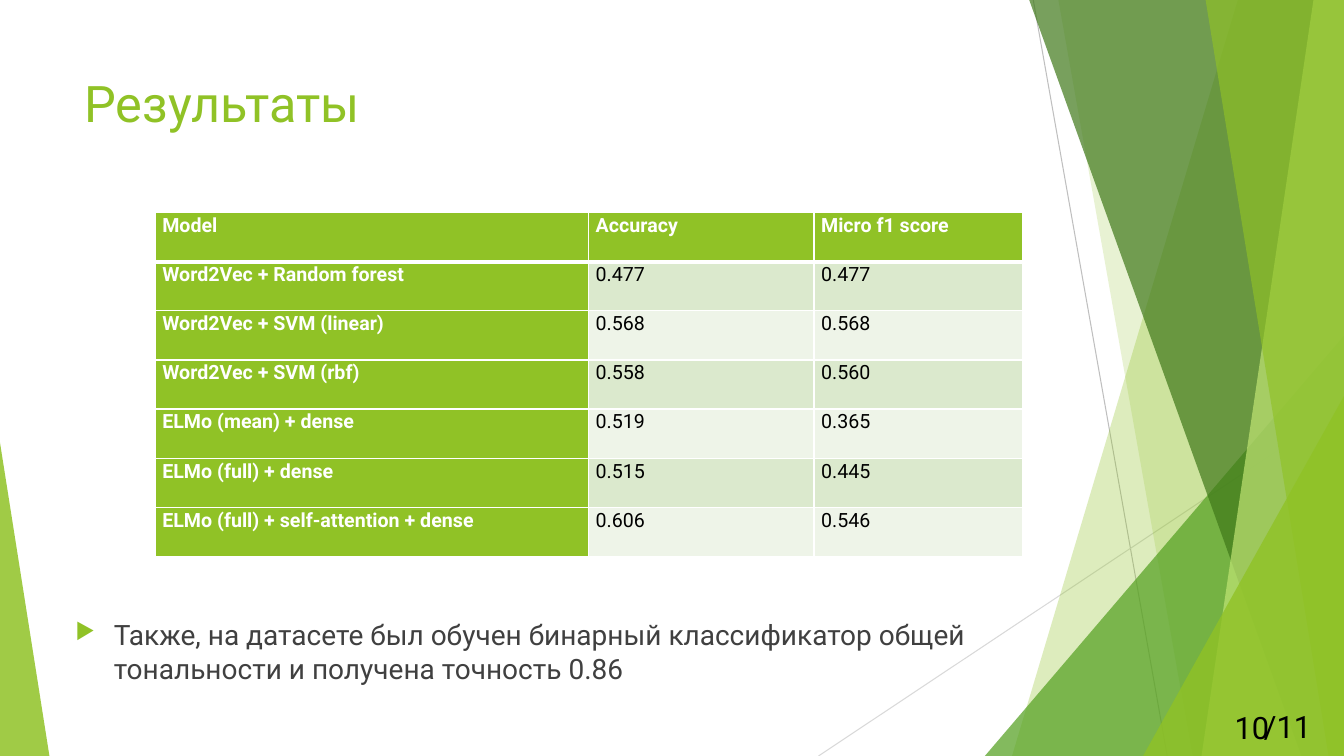
from dataclasses import dataclass

from lxml import etree
from pptx import Presentation
from pptx import util as u
from pptx.dml.color import RGBColor
from pptx.enum import shapes, text
from pptx.oxml import ns


@dataclass(frozen=True)
class Theme:
    font: str = "Roboto"
    green: str = "90C226"
    leaf: str = "54A021"
    forest: str = "3F7819"
    lime: str = "C0E474"
    white: str = "FFFFFF"
    black: str = "000000"
    body: str = "404040"
    band_dark: str = "DBE9CD"
    band_light: str = "EEF4E8"
    title_size: int = 36
    number_size: int = 22
    body_size: int = 20
    table_size: int = 14


THEME = Theme()
WIDTH, HEIGHT = u.Inches(13.33), u.Inches(7.5)

RESULTS = [
    ("Model", "Accuracy", "Micro f1 score"),
    ("Word2Vec + Random forest", "0.477", "0.477"),
    ("Word2Vec + SVM (linear)", "0.568", "0.568"),
    ("Word2Vec + SVM (rbf)", "0.558", "0.560"),
    ("ELMo (mean) + dense", "0.519", "0.365"),
    ("ELMo (full) + dense", "0.515", "0.445"),
    ("ELMo (full) + self-attention + dense", "0.606", "0.546"),
]


def x_at(percent):
    return round(WIDTH * percent / 100)


def y_at(percent):
    return round(HEIGHT * percent / 100)


def place(box):
    """Turn left, top, width, height in percent of the slide into lengths."""
    left, top, width, height = box
    return x_at(left), y_at(top), x_at(width), y_at(height)


def add_xml(parent, tag, **attributes):
    return etree.SubElement(parent, ns.qn(tag), attributes)


def style_font(paragraph, size, color, bold=False):
    font = paragraph.font
    font.name, font.size, font.bold = THEME.font, u.Pt(size), bold
    font.color.rgb = RGBColor.from_string(color)


def paint(shape, color, opacity):
    shape.shadow.inherit = False
    shape.line.fill.background()
    shape.fill.solid()
    shape.fill.fore_color.rgb = RGBColor.from_string(color)
    color_xml = shape.fill._xPr.find(".//" + ns.qn("a:srgbClr"))
    add_xml(color_xml, "a:alpha", val=str(opacity * 1000))


def add_hairline(slide, start, end, color):
    line = slide.shapes.add_connector(
        shapes.MSO_CONNECTOR.STRAIGHT,
        x_at(start[0]), y_at(start[1]), x_at(end[0]), y_at(end[1]))
    line.line.width = u.Pt(0.75)
    line.line.color.rgb = RGBColor.from_string(color)
    add_xml(line._element.spPr, "a:effectLst")


def add_blade(slide, top_x, bottom_x, color, opacity):
    """Fill from a slanted left side to the right edge of the slide."""
    builder = slide.shapes.build_freeform(x_at(top_x), 0)
    builder.add_line_segments(
        [(WIDTH, 0), (WIDTH, HEIGHT), (x_at(bottom_x), HEIGHT)], close=True)
    paint(builder.convert_to_shape(), color, opacity)


def add_corner(slide, left, top, width, apex, color, opacity):
    """Add a right triangle that stands on the bottom of the slide."""
    corner = slide.shapes.add_shape(
        shapes.MSO_SHAPE.ISOSCELES_TRIANGLE, *place((left, top, width, 100 - top)))
    corner.adjustments[0] = apex
    paint(corner, color, opacity)


def add_backdrop(slide):
    add_hairline(slide, (76.88, 0), (86.85, 100), "BFBFBF")
    add_hairline(slide, (100, 53.73), (60.9, 100), "D9D9D9")
    add_blade(slide, 92.1, 75.3, THEME.green, 30)
    add_blade(slide, 78.75, 88.73, THEME.green, 20)
    add_corner(slide, 73.28, 44.4, 26.72, 1, THEME.leaf, 72)
    add_blade(slide, 76.58, 96.83, THEME.forest, 70)
    add_blade(slide, 97.73, 89.4, THEME.lime, 70)
    add_blade(slide, 89.7, 98.85, THEME.green, 65)
    add_corner(slide, 85.05, 52.4, 14.95, 1, THEME.green, 80)
    add_corner(slide, 0, 58.53, 3.68, 0, THEME.green, 85)


def add_text(slide, box, words, size, color):
    frame = slide.shapes.add_textbox(*place(box)).text_frame
    frame.word_wrap = True
    paragraph = frame.paragraphs[0]
    paragraph.text = words
    style_font(paragraph, size, color)
    return frame


def add_bullet_text(slide, box, words):
    frame = add_text(slide, box, words, THEME.body_size, THEME.body)
    paragraph = frame.paragraphs[0]
    paragraph.space_before = u.Pt(10)
    properties = paragraph._p.get_or_add_pPr()
    indent = u.Inches(0.38)
    properties.set("marL", str(indent))
    properties.set("indent", str(-indent))
    default_font = properties.find(ns.qn("a:defRPr"))
    bullet_color = add_xml(properties, "a:buClr")
    add_xml(bullet_color, "a:srgbClr", val=THEME.green)
    add_xml(properties, "a:buSzPct", val="80000")
    add_xml(properties, "a:buChar", char="▶")
    properties.append(default_font)


def add_page_number(slide, number, total):
    add_text(slide, (93.3, 92.93, 6.7, 6.27), f"/{total}",
             THEME.number_size, THEME.black)
    frame = add_text(slide, (89.55, 93.47, 5.63, 5.33), str(number),
                     THEME.number_size, THEME.black)
    frame.vertical_anchor = text.MSO_ANCHOR.MIDDLE
    frame.paragraphs[0].alignment = text.PP_ALIGN.RIGHT


def set_borders(cell, top, bottom):
    properties = cell._tc.get_or_add_tcPr()
    for side, points in (("L", 1), ("R", 1), ("T", top), ("B", bottom)):
        line = add_xml(properties, f"a:ln{side}", w=str(u.Pt(points)))
        add_xml(add_xml(line, "a:solidFill"), "a:srgbClr", val=THEME.white)


def fill_cell(cell, words, row, column):
    heading = row == 0 or column == 0
    band = THEME.band_dark if row % 2 else THEME.band_light
    set_borders(cell, top=3 if row == 1 else 1, bottom=3 if row == 0 else 1)
    cell.fill.solid()
    cell.fill.fore_color.rgb = RGBColor.from_string(
        THEME.green if heading else band)
    cell.margin_left = cell.margin_right = u.Inches(0.07)
    cell.margin_top = cell.margin_bottom = 0
    paragraph = cell.text_frame.paragraphs[0]
    paragraph.text = words
    paragraph.line_spacing = 1.07
    style_font(paragraph, THEME.table_size,
               THEME.white if heading else THEME.black, heading)


def add_results_table(slide, box, rows, column_shares):
    left, top, width, height = place(box)
    table = slide.shapes.add_table(
        len(rows), len(column_shares), left, top, width, height).table
    for column, share in zip(table.columns, column_shares):
        column.width = round(width * share)
    for row, values in enumerate(rows):
        for column, words in enumerate(values):
            fill_cell(table.cell(row, column), words, row, column)


def build_results_slide(presentation):
    slide = presentation.slides.add_slide(presentation.slide_layouts[6])
    add_backdrop(slide)
    add_text(slide, (5.55, 8.93, 70.5, 19.2), "Результаты",
             THEME.title_size, THEME.green)
    add_results_table(slide, (11.55, 28.13, 64.5, 45.47), RESULTS,
                      (0.5, 0.26, 0.24))
    add_page_number(slide, 10, 11)
    add_bullet_text(
        slide, (4.88, 81.07, 70.5, 10.13),
        "Также, на датасете был обучен бинарный классификатор общей "
        "тональности и получена точность 0.86")


def main():
    presentation = Presentation()
    presentation.slide_width, presentation.slide_height = WIDTH, HEIGHT
    build_results_slide(presentation)
    presentation.save("out.pptx")


if __name__ == "__main__":
    main()
